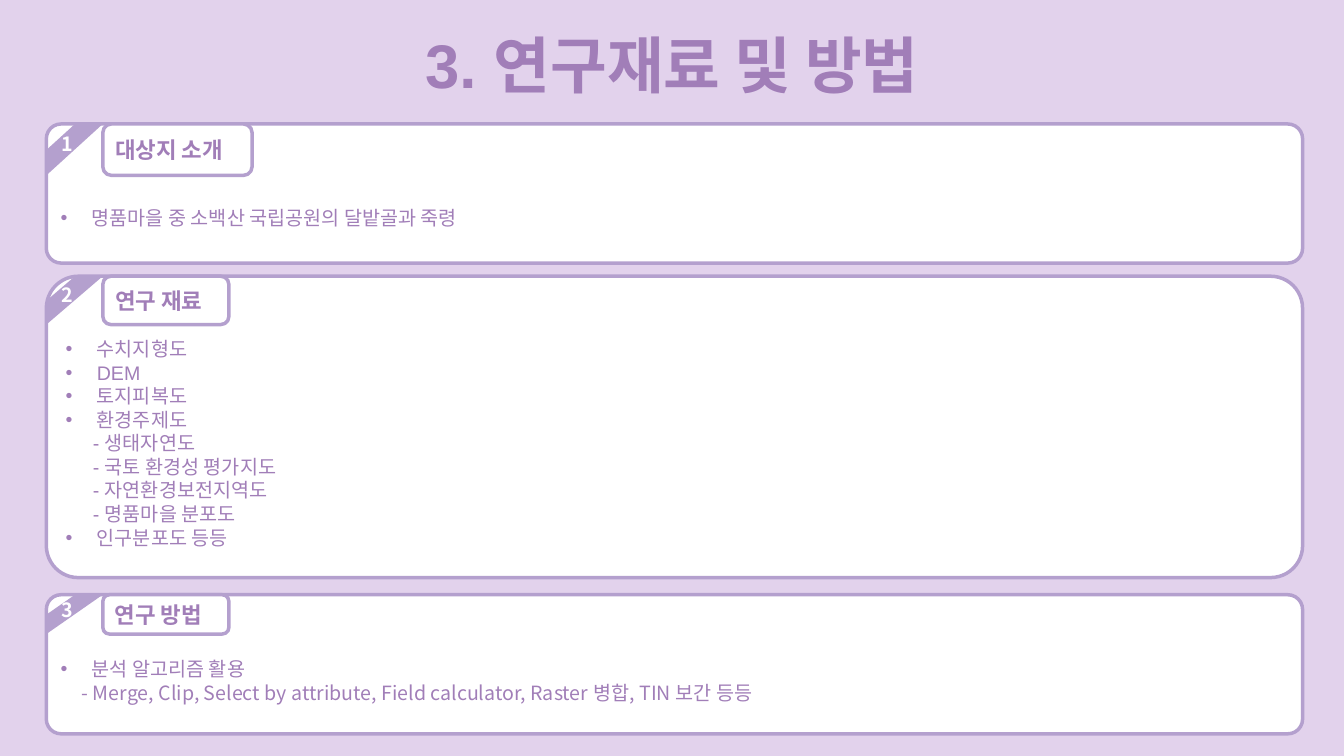
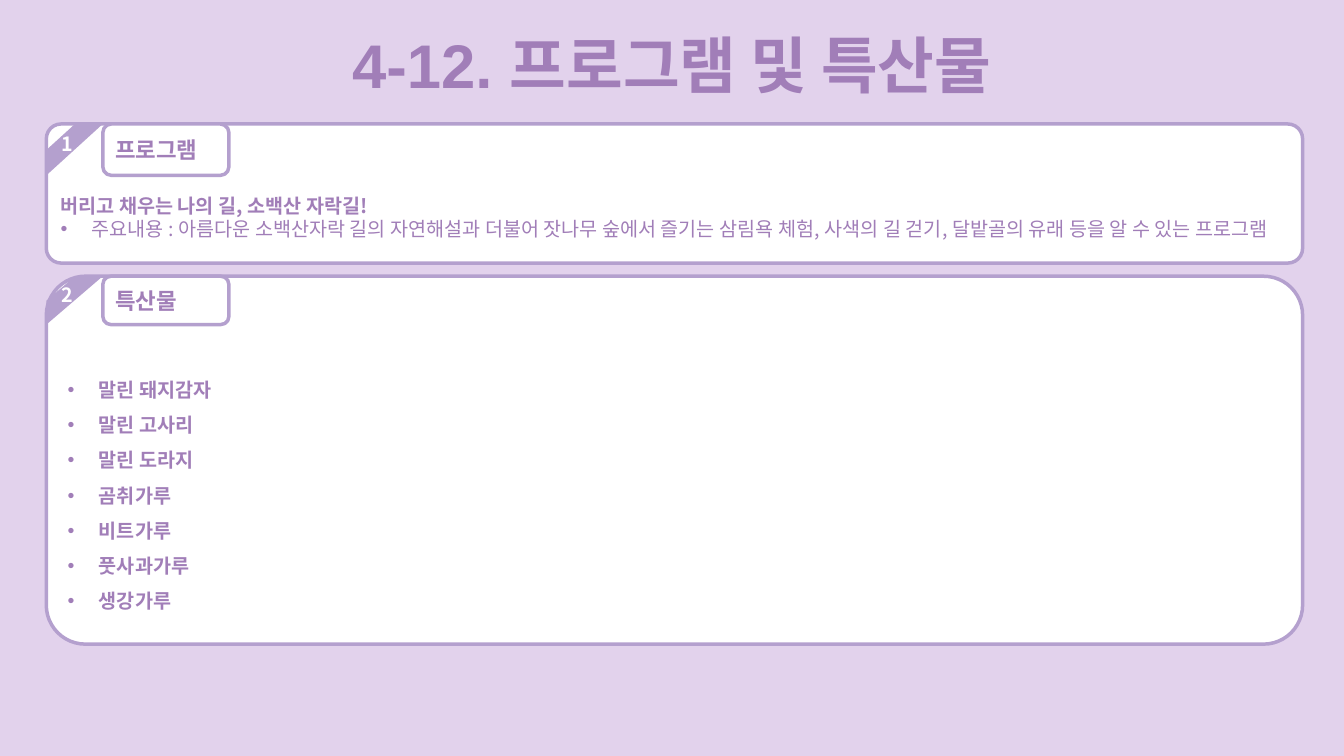
from dataclasses import dataclass

import lxml.etree
import pptx
import pptx.dml.color
import pptx.enum.shapes
import pptx.enum.text
import pptx.oxml.ns
import pptx.util

Inches = pptx.util.Inches
Pt = pptx.util.Pt
SHAPE = pptx.enum.shapes.MSO_SHAPE
ALIGN = pptx.enum.text.PP_ALIGN
ANCHOR = pptx.enum.text.MSO_ANCHOR
qn = pptx.oxml.ns.qn

LILAC, WHITE, BORDER, PURPLE = "E2D2EC", "FFFFFF", "B4A0CE", "A17EB8"
ARIAL, NOTO = "Arial", "Noto Sans CJK KR"

PANEL_LEFT, PANEL_WIDTH = 0.46, 12.46
STRIPE_WIDTH = 0.56
HANGING = 0.31


@dataclass
class Line:
    text: str
    bullet: bool = True
    bold: bool = False
    indent: float = 0


@dataclass
class Panel:
    top: float
    height: float
    tab_height: float
    label: str
    lines: list[Line]
    label_width: float = 1.25
    head_room: float = 0.47
    font: str = NOTO
    spacing: float | None = None


@dataclass
class Page:
    title: str
    title_width: float
    panels: list[Panel]


PAGES = [
    Page("3. 연구재료 및 방법", 5.69, [
        Panel(1.23, 1.38, 0.51, "대상지 소개",
              [Line("명품마을 중 소백산 국립공원의 달밭골과 죽령")], label_width=1.48),
        Panel(2.74, 2.99, 0.48, "연구 재료", [
            Line("수치지형도"),
            Line("DEM"),
            Line("토지피복도"),
            Line("환경주제도"),
            Line("- 생태자연도", bullet=False, indent=0.27),
            Line("- 국토 환경성 평가지도", bullet=False, indent=0.27),
            Line("- 자연환경보전지역도", bullet=False, indent=0.27),
            Line("- 명품마을 분포도", bullet=False, indent=0.27),
            Line("인구분포도 등등"),
        ], head_room=0.32, font=ARIAL),
        Panel(5.9, 1.38, 0.39, "연구 방법", [
            Line("분석 알고리즘 활용"),
            Line("- Merge, Clip, Select by attribute, Field calculator, "
                 "Raster 병합, TIN 보간 등등", bullet=False, indent=0.21),
        ], head_room=0.32),
    ]),
    Page("4-12. 프로그램 및 특산물", 7.28, [
        Panel(1.23, 1.38, 0.51, "프로그램", [
            Line("버리고 채우는 나의 길, 소백산 자락길!", bullet=False, bold=True),
            Line("주요내용 : 아름다운 소백산자락 길의 자연해설과 더불어 잣나무 숲에서 "
                 "즐기는 삼림욕 체험, 사색의 길 걷기, 달밭골의 유래 등을 알 수 있는 프로그램"),
        ]),
        Panel(2.74, 3.65, 0.48, "특산물", [
            Line(name, bold=True) for name in (
                "말린 돼지감자", "말린 고사리", "말린 도라지", "곰취가루",
                "비트가루", "풋사과가루", "생강가루")
        ], head_room=0.58, font=ARIAL, spacing=1.5),
    ]),
]


def rgb(color: str) -> pptx.dml.color.RGBColor:
    return pptx.dml.color.RGBColor.from_string(color)


def write(p, text: str, *, size: float = 14, font: str = NOTO, color: str = PURPLE,
          bold: bool = False, align=ALIGN.LEFT) -> None:
    """Add one formatted run to a paragraph."""
    p.alignment = align
    r = p.add_run()
    r.text = text
    r.font.size = Pt(size)
    r.font.name = font
    r.font.bold = bold
    r.font.color.rgb = rgb(color)
    ea = lxml.etree.SubElement(r.font._element, qn("a:ea"))
    ea.set("typeface", NOTO)


def set_indent(p, line: Line) -> None:
    """Give a paragraph its left margin and, if wanted, a hanging bullet."""
    pPr = p._p.get_or_add_pPr()
    if line.bullet:
        pPr.set("marL", str(Inches(HANGING)))
        pPr.set("indent", str(-Inches(HANGING)))
        lxml.etree.SubElement(pPr, qn("a:buFont")).set("typeface", ARIAL)
        lxml.etree.SubElement(pPr, qn("a:buChar")).set("char", "•")
    else:
        pPr.set("marL", str(Inches(line.indent)))
        pPr.set("indent", "0")


def add_box(s, kind, left: float, top: float, width: float, height: float, *,
            fill: str = WHITE, line: str | None = BORDER, adj: float | None = None):
    sp = s.shapes.add_shape(kind, Inches(left), Inches(top), Inches(width), Inches(height))
    sp.shadow.inherit = False
    sp.fill.solid()
    sp.fill.fore_color.rgb = rgb(fill)
    if line:
        sp.line.color.rgb = rgb(line)
        sp.line.width = Pt(2.5)
    else:
        sp.line.fill.background()
    if adj is not None:
        sp.adjustments[0] = adj
    sp.text_frame.word_wrap = True
    sp.text_frame.vertical_anchor = ANCHOR.MIDDLE
    return sp


def add_panel(s, number: int, panel: Panel) -> None:
    """Draw a panel with its numbered corner stripe and label."""
    sp = add_box(s, SHAPE.ROUNDED_RECTANGLE, PANEL_LEFT, panel.top, PANEL_WIDTH,
                 panel.height, adj=0.106)
    tf = sp.text_frame
    tf.margin_top = Inches(0.05 + panel.head_room)
    for i, line in enumerate(panel.lines):
        p = tf.add_paragraph() if i else tf.paragraphs[0]
        set_indent(p, line)
        if panel.spacing:
            p.line_spacing = panel.spacing
        write(p, line.text, font=panel.font, bold=line.bold)

    stripe = add_box(s, SHAPE.DIAGONAL_STRIPE, PANEL_LEFT, panel.top, STRIPE_WIDTH,
                     panel.tab_height, fill=BORDER, line=None, adj=0.508)
    write(stripe.text_frame.paragraphs[0], str(number), color=WHITE, bold=True,
          align=ALIGN.CENTER)

    label = add_box(s, SHAPE.ROUNDED_RECTANGLE, PANEL_LEFT + STRIPE_WIDTH, panel.top,
                    panel.label_width, panel.tab_height)
    write(label.text_frame.paragraphs[0], panel.label, size=16, bold=True)


def add_title(s, text: str, width: float, slide_width: float) -> None:
    sp = s.shapes.add_textbox(Inches((slide_width - width) / 2), Inches(0.22),
                              Inches(width), Inches(0.84))
    tf = sp.text_frame
    tf.word_wrap = False
    tf.auto_size = pptx.enum.text.MSO_AUTO_SIZE.SHAPE_TO_FIT_TEXT
    write(tf.paragraphs[0], text, size=44, font=ARIAL, bold=True, align=ALIGN.CENTER)


def main() -> None:
    prs = pptx.Presentation()
    slide_width = 13.33
    prs.slide_width, prs.slide_height = Inches(slide_width), Inches(7.5)
    for page in PAGES:
        s = prs.slides.add_slide(prs.slide_layouts[6])
        s.background.fill.solid()
        s.background.fill.fore_color.rgb = rgb(LILAC)
        add_title(s, page.title, page.title_width, slide_width)
        for number, panel in enumerate(page.panels, 1):
            add_panel(s, number, panel)
    prs.save("out.pptx")


if __name__ == "__main__":
    main()
